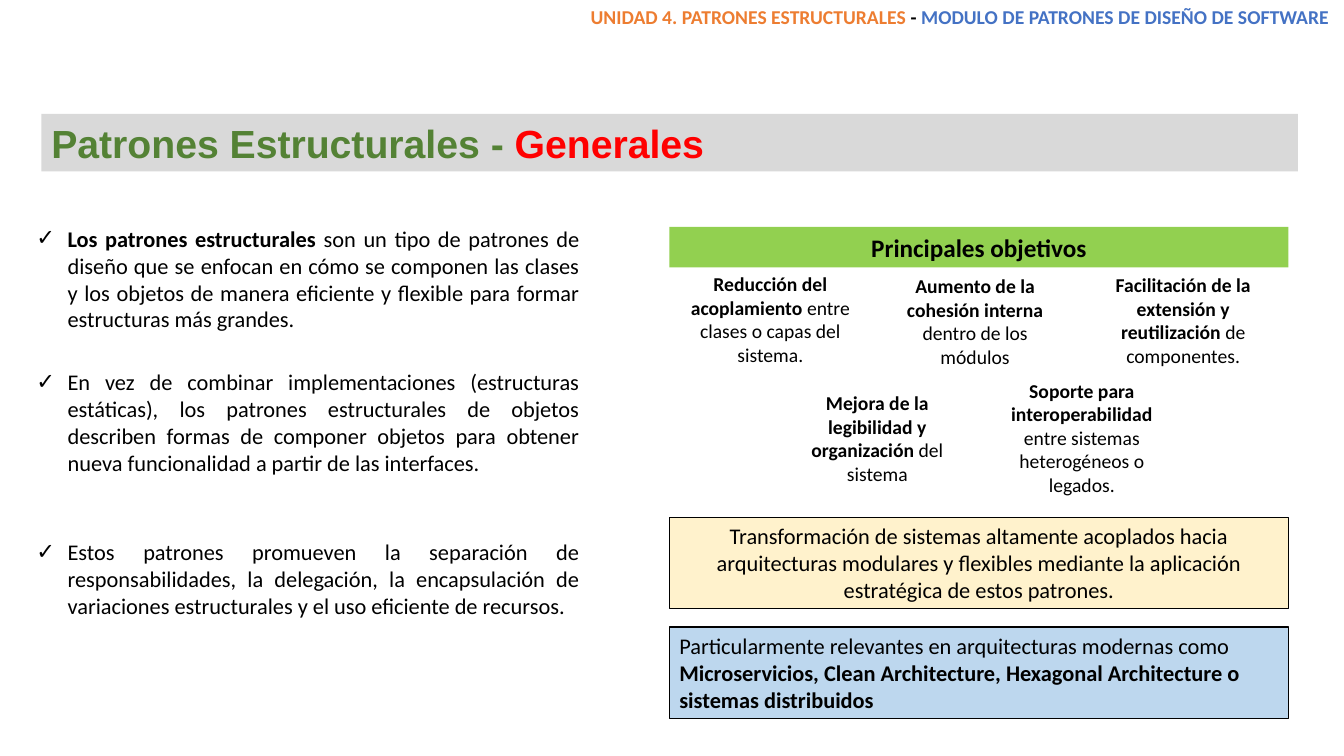
from dataclasses import dataclass

from lxml import etree
from pptx import Presentation
from pptx.dml.color import RGBColor
from pptx.enum.shapes import MSO_SHAPE
from pptx.enum.text import MSO_ANCHOR, MSO_AUTO_SIZE, PP_ALIGN
from pptx.oxml.ns import qn
from pptx.util import Cm, Pt

RECTANGLE = MSO_SHAPE.RECTANGLE
TOP, MIDDLE = MSO_ANCHOR.TOP, MSO_ANCHOR.MIDDLE
NO_FIT = MSO_AUTO_SIZE.NONE
LEFT, CENTER, RIGHT, JUSTIFY = PP_ALIGN.LEFT, PP_ALIGN.CENTER, PP_ALIGN.RIGHT, PP_ALIGN.JUSTIFY


@dataclass(frozen=True)
class Theme:
    body_font: str = "Calibri"
    title_font: str = "Arial"
    black: str = "000000"
    orange: str = "ED7D31"
    blue: str = "4472C4"
    green: str = "548235"
    red: str = "FF0000"
    title_fill: str = "D9D9D9"
    goals_fill: str = "92D050"
    result_fill: str = "FFF2CC"
    relevance_fill: str = "BDD7EE"
    title_size: int = 28
    heading_size: int = 18
    text_size: int = 16
    small_size: int = 14
    outline: float = 0.75


THEME = Theme()

# Content
HEADER = [
    ("UNIDAD 4. PATRONES ESTRUCTURALES ", True, THEME.orange),
    ("- ", True, THEME.black),
    ("MODULO DE PATRONES DE DISEÑO DE SOFTWARE ", True, THEME.blue),
]
TITLE = [
    ("Patrones Estructurales - ", True, THEME.green),
    ("Generales", True, THEME.red),
]
IDEAS = [
    (0, [("Los patrones estructurales ", True),
         ("son un tipo de patrones de diseño que se enfocan en cómo se componen las clases y los "
          "objetos de manera eficiente y flexible para formar estructuras más grandes.", False)]),
    (25.5, [("En vez de combinar implementaciones (estructuras estáticas), los patrones "
             "estructurales de objetos describen formas de componer objetos para obtener nueva "
             "funcionalidad a partir de las interfaces. ", False)]),
    (45, [("Estos patrones promueven la separación de responsabilidades, la delegación, la "
           "encapsulación de variaciones estructurales y el uso eficiente de recursos. ", False)]),
]
GOALS_HEADING = [("Principales objetivos", True)]
GOALS = [
    ((16.94, 6.73, 4.95, 2.64), "Reducción del acoplamiento", " entre clases o capas del sistema."),
    ((22.1, 6.78, 4.95, 2.64), "Aumento de la cohesión interna", " dentro de los módulos"),
    ((27.51, 6.76, 4.62, 2.64), "Facilitación de la extensión y reutilización ", "de componentes."),
    ((19.86, 9.73, 4.5, 2.64), "Mejora de la legibilidad y organización ", "del sistema"),
    ((25.17, 9.42, 4.19, 3.25), "Soporte para interoperabilidad ",
     "entre sistemas heterogéneos o legados."),
]
RESULT = [("Transformación de sistemas altamente acoplados hacia arquitecturas modulares y flexibles "
           "mediante la aplicación estratégica de estos patrones.", False)]
RELEVANCE = [
    ("Particularmente relevantes en arquitecturas modernas como ", False),
    ("Microservicios, Clean Architecture, Hexagonal Architecture o sistemas distribuidos", True),
]

PANEL_LEFT, PANEL_WIDTH = 16.87, 15.6
NOTE_HEIGHT = 2.31
BULLET_INDENT = 0.79


def color(code):
    return RGBColor.from_string(code)


def place(shape, area):
    shape.left, shape.top, shape.width, shape.height = map(Cm, area)


def prepare(frame, anchor):
    frame.word_wrap = True
    frame.auto_size = NO_FIT
    frame.vertical_anchor = anchor


def write(paragraph, runs, size, align, font=THEME.body_font):
    paragraph.alignment = align
    for text, bold, *tint in runs:
        run = paragraph.add_run()
        run.text = text
        run.font.name = font
        run.font.size = Pt(size)
        run.font.bold = bold
        run.font.color.rgb = color(tint[0] if tint else THEME.black)


def add_check(paragraph):
    properties = paragraph._p.get_or_add_pPr()
    properties.set("marL", str(Cm(BULLET_INDENT)))
    properties.set("indent", str(-Cm(BULLET_INDENT)))
    etree.SubElement(properties, qn("a:buChar"), char="✓")


def add_text(slide, area, runs, size, align):
    box = slide.shapes.add_textbox(*map(Cm, area))
    prepare(box.text_frame, TOP)
    write(box.text_frame.paragraphs[0], runs, size, align)


def add_panel(slide, top, height, runs, size, align, fill, outlined):
    panel = slide.shapes.add_shape(
        RECTANGLE, Cm(PANEL_LEFT), Cm(top), Cm(PANEL_WIDTH), Cm(height))
    panel.shadow.inherit = False
    panel.fill.solid()
    panel.fill.fore_color.rgb = color(fill)
    if outlined:
        panel.line.color.rgb = color(THEME.black)
        panel.line.width = Pt(THEME.outline)
    else:
        panel.line.fill.background()
    prepare(panel.text_frame, MIDDLE)
    write(panel.text_frame.paragraphs[0], runs, size, align)


def main():
    deck = Presentation()
    deck.slide_width, deck.slide_height = Cm(33.87), Cm(19.05)
    slide = deck.slides.add_slide(deck.slide_layouts[1])
    title, ideas = slide.placeholders

    add_text(slide, (4.8, 0, 29.06, 0.86), HEADER, THEME.small_size, RIGHT)

    place(title, (1.04, 2.87, 31.67, 1.45))
    title.fill.solid()
    title.fill.fore_color.rgb = color(THEME.title_fill)
    prepare(title.text_frame, MIDDLE)
    write(title.text_frame.paragraphs[0], TITLE, THEME.title_size, LEFT, THEME.title_font)

    place(ideas, (0.66, 5.54, 14.2, 10.31))
    prepare(ideas.text_frame, TOP)
    for index, (gap, runs) in enumerate(IDEAS):
        frame = ideas.text_frame
        paragraph = frame.add_paragraph() if index else frame.paragraphs[0]
        add_check(paragraph)
        paragraph.space_before = Pt(gap)
        write(paragraph, runs, THEME.text_size, JUSTIFY)

    add_panel(slide, 5.72, 1.02, GOALS_HEADING, THEME.heading_size, CENTER,
              THEME.goals_fill, False)
    for area, goal, detail in GOALS:
        add_text(slide, area, [(goal, True), (detail, False)], THEME.small_size, CENTER)
    add_panel(slide, 13.03, NOTE_HEIGHT, RESULT, THEME.text_size, CENTER,
              THEME.result_fill, True)
    add_panel(slide, 15.8, NOTE_HEIGHT, RELEVANCE, THEME.text_size, LEFT,
              THEME.relevance_fill, True)

    deck.save("out.pptx")


if __name__ == "__main__":
    main()
